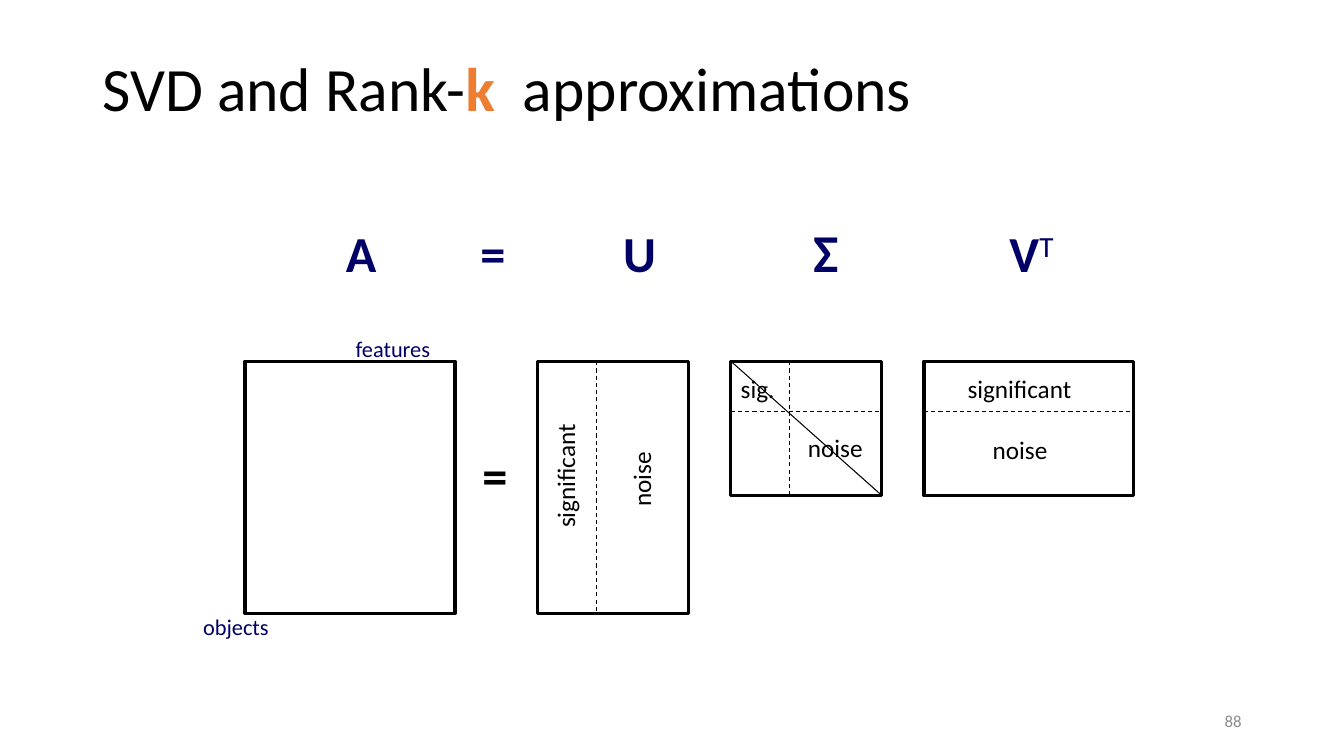
import pptx
import pptx.util
import pptx.dml.color
import pptx.enum.dml
import pptx.enum.shapes
import pptx.enum.text
import pptx.oxml.ns
import lxml.etree

Pt = pptx.util.Pt
ALIGN = pptx.enum.text.PP_ALIGN
ANCHOR = pptx.enum.text.MSO_ANCHOR
FONT = "Calibri"
BLACK, NAVY, ORANGE, GREY = "000000", "000066", "ED7D31", "8C8C8C"

TOP = 258
TALL, SHORT = 180, 96
WIDE, SLIM = 150, 108
LEFT_A, LEFT_U, LEFT_S, LEFT_V = 175, 384, 522, 660
SPLIT = 42  # width of the significant columns
CUT = TOP + 36  # lower edge of the significant rows


def color(code):
    return pptx.dml.color.RGBColor.from_string(code)


def style(font, size, code, bold=False):
    font.name = FONT
    font.size = Pt(size)
    font.bold = bold
    font.color.rgb = color(code)


def matrix(slide, left, width, height):
    """Draw an outlined matrix hanging from the common top edge."""
    box = slide.shapes.add_shape(
        pptx.enum.shapes.MSO_SHAPE.RECTANGLE,
        Pt(left), Pt(TOP), Pt(width), Pt(height))
    box.shadow.inherit = False
    box.fill.background()
    box.line.color.rgb = color(BLACK)
    box.line.width = Pt(2.25)


def rule(slide, x1, y1, x2, y2, dash=True):
    line = slide.shapes.add_connector(
        pptx.enum.shapes.MSO_CONNECTOR.STRAIGHT,
        Pt(x1), Pt(y1), Pt(x2), Pt(y2))
    line.line.color.rgb = color(BLACK)
    line.line.width = Pt(0.75)
    if dash:
        line.line.dash_style = pptx.enum.dml.MSO_LINE.DASH
    lxml.etree.SubElement(line._element.spPr, pptx.oxml.ns.qn("a:effectLst"))


def label(slide, text, left, top, width, size, code, bold=False, turn=0):
    """Add a one-line text that does not wrap; return its paragraph."""
    box = slide.shapes.add_textbox(
        Pt(left), Pt(top), Pt(width), Pt(size * 1.2 + 7.2))
    box.rotation = turn
    frame = box.text_frame
    frame.word_wrap = False
    frame.auto_size = pptx.enum.text.MSO_AUTO_SIZE.SHAPE_TO_FIT_TEXT
    para = frame.paragraphs[0]
    para.line_spacing = 0.98
    para.add_run().text = text
    style(para.font, size, code, bold)
    return para


def heading(slide):
    title = slide.shapes.title
    title.left, title.top = Pt(66), Pt(29)
    title.width, title.height = Pt(695.5), Pt(73.5)
    frame = title.text_frame
    frame.auto_size = pptx.enum.text.MSO_AUTO_SIZE.NONE
    frame.vertical_anchor = ANCHOR.MIDDLE
    para = frame.paragraphs[0]
    para.alignment = ALIGN.LEFT
    para.line_spacing = 0.9
    for text, code, bold in (("SVD and Rank-", BLACK, False),
                             ("k ", ORANGE, True),
                             (" approximations", BLACK, False)):
        run = para.add_run()
        run.text = text
        style(run.font, 44, code, bold)


def number(slide, text):
    box = slide.shapes.add_textbox(Pt(678), Pt(500.5), Pt(216), Pt(28.75))
    frame = box.text_frame
    frame.word_wrap = True
    frame.vertical_anchor = ANCHOR.MIDDLE
    para = frame.paragraphs[0]
    para.text = text
    para.alignment = ALIGN.RIGHT
    style(para.font, 12, GREY)


def formula(slide):
    for text, left, top, width, size in (
            ("A", 240, 157, 36.5, 36), ("=", 336, 157, 32.5, 36),
            ("U", 438, 157, 38, 36), ("Σ", 574, 155, 36.5, 38)):
        label(slide, text, left, top, width, size, NAVY, True)
    para = label(slide, "V", 714, 157, 47.5, 36, NAVY, True)
    power = para.add_run()
    power.text = "T"
    power.font.bold = False
    power._r.get_or_add_rPr().set("baseline", "30000")


def factors(slide):
    """Draw the matrices and split them into significant and noise parts."""
    for left, width, height in (
            (LEFT_A, WIDE, TALL), (LEFT_U, SLIM, TALL),
            (LEFT_V, WIDE, SHORT), (LEFT_S, SLIM, SHORT)):
        matrix(slide, left, width, height)
    for left, height in ((LEFT_U, TALL), (LEFT_S, SHORT)):
        rule(slide, left + SPLIT, TOP, left + SPLIT, TOP + height)
    for left, width in ((LEFT_S, SLIM), (LEFT_V, WIDE)):
        rule(slide, left, CUT, left + width, CUT)
    rule(slide, LEFT_S, TOP, LEFT_S + SLIM, TOP + SHORT, dash=False)
    for text, left, top, width, turn in (
            ("significant", 684, 264, 89.5, 0), ("noise", 702, 307.5, 54, 0),
            ("sig.", 522, 264, 39, 0), ("noise", 570, 306, 54, 0),
            ("significant", 360, 325, 89.5, 270),
            ("noise", 432, 327.5, 54, 270)):
        label(slide, text, left, top, width, 18, BLACK, turn=turn)
    label(slide, "=", 337.5, 316, 32.5, 36, BLACK, True)
    label(slide, "features", 247, 237, 68.5, 16, NAVY)
    label(slide, "objects", 138, 435, 62, 16, NAVY)


def main():
    deck = pptx.Presentation()
    deck.slide_width, deck.slide_height = Pt(960), Pt(540)
    slide = deck.slides.add_slide(deck.slide_layouts[5])
    heading(slide)
    formula(slide)
    factors(slide)
    number(slide, "88")
    deck.save("out.pptx")


if __name__ == "__main__":
    main()
